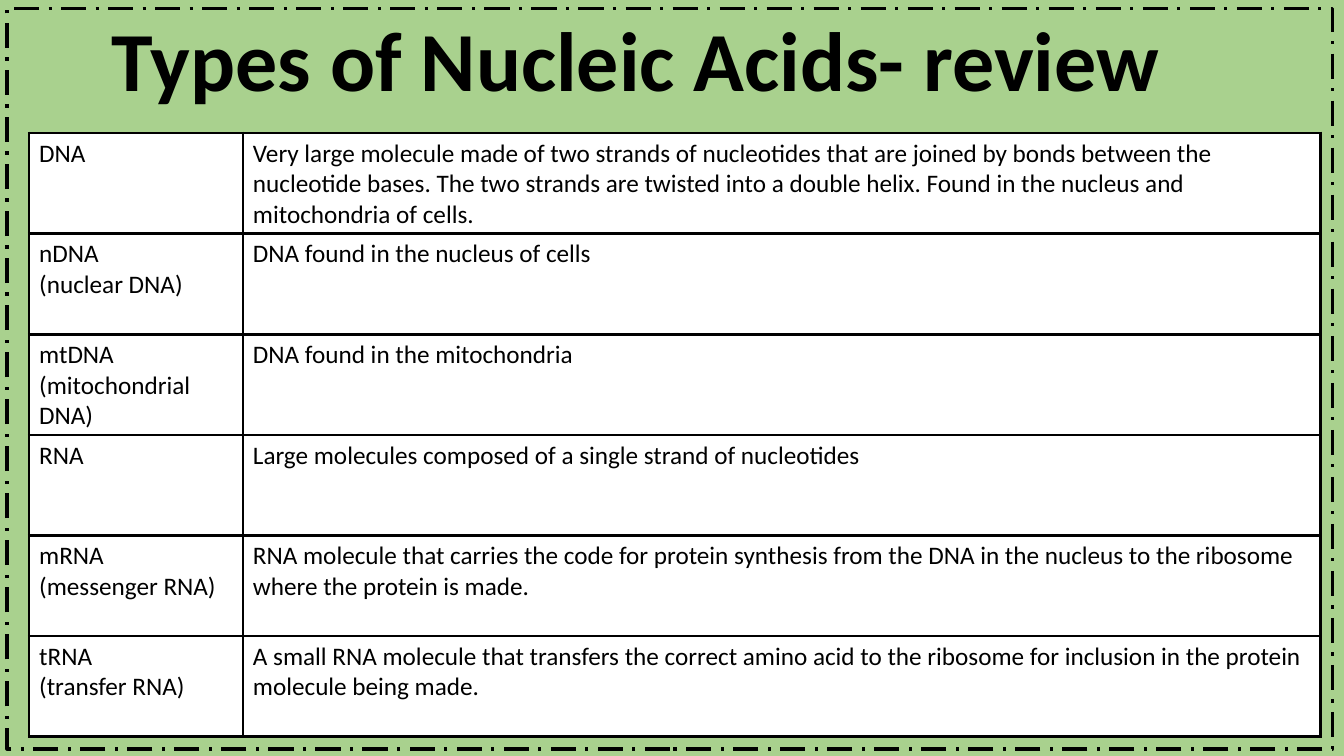
"""Build a one-slide review table of the types of nucleic acids."""
from dataclasses import dataclass

from lxml.etree import SubElement
from pptx import Presentation
from pptx.dml.color import RGBColor as Color
from pptx.enum.dml import MSO_LINE_DASH_STYLE as Dash
from pptx.enum.shapes import MSO_SHAPE as Preset
from pptx.enum.text import MSO_ANCHOR as Anchor
from pptx.oxml.ns import qn
from pptx.slide import Slide
from pptx.table import _Cell as Cell
from pptx.text.text import TextFrame
from pptx.util import Pt


@dataclass(frozen=True)
class Theme:
    """Colours, font and sizes of the slide."""
    page: str = "A9D18E"
    ink: str = "000000"
    paper: str = "FFFFFF"
    font: str = "Calibri"
    title_size: float = 60
    body_size: float = 18
    line_width: float = 2.25


@dataclass(frozen=True)
class Area:
    """Left, top, width and height in points."""
    left: float
    top: float
    width: float
    height: float

    def lengths(self) -> tuple[Pt, Pt, Pt, Pt]:
        """Return the four values as lengths."""
        return Pt(self.left), Pt(self.top), Pt(self.width), Pt(self.height)


@dataclass(frozen=True)
class Acid:
    """One table row: the name of an acid and its meaning."""
    name: str
    meaning: str


THEME = Theme()
TITLE_AREA = Area(72.8, 5.8, 828, 80.6)
TABLE_AREA = Area(20.8, 95, 922.3, 430.6)
FRAME_AREA = Area(5, 5.8, 946.8, 529.2)
NAME_WIDTH = 152.7
ACIDS = (
    Acid("DNA", "Very large molecule made of two strands of nucleotides that are joined by bonds "
         "between the nucleotide bases. The two strands are twisted into a double helix. "
         "Found in the nucleus and mitochondria of cells."),
    Acid("nDNA\n(nuclear DNA)", "DNA found in the nucleus of cells"),
    Acid("mtDNA\n(mitochondrial DNA)", "DNA found in the mitochondria"),
    Acid("RNA", "Large molecules composed of a single strand of nucleotides"),
    Acid("mRNA\n(messenger RNA)", "RNA molecule that carries the code for protein synthesis "
         "from the DNA in the nucleus to the ribosome where the protein is made."),
    Acid("tRNA\n(transfer RNA)", "A small RNA molecule that transfers the correct amino acid "
         "to the ribosome for inclusion in the protein molecule being made."),
)


def write(frame: TextFrame, text: str, *, size: float, bold: bool = False,
          spacing: float = 1.0) -> None:
    """Write each line of the text as a formatted paragraph."""
    frame.text = text
    for para in frame.paragraphs:
        para.line_spacing = spacing
        for span in para.runs:
            span.font.name = THEME.font
            span.font.size = Pt(size)
            span.font.bold = bold
            span.font.color.rgb = Color.from_string(THEME.ink)


def add_borders(cell: Cell) -> None:
    """Put a solid line on all four sides, ahead of the cell fill."""
    properties = cell._tc.get_or_add_tcPr()
    for position, side in enumerate(("a:lnL", "a:lnR", "a:lnT", "a:lnB")):
        line = SubElement(properties, qn(side), w=str(Pt(THEME.line_width)))
        fill = SubElement(line, qn("a:solidFill"))
        SubElement(fill, qn("a:srgbClr"), val=THEME.ink)
        properties.insert(position, line)


def add_title(page: Slide, text: str) -> None:
    """Add the slide heading."""
    box = page.shapes.add_textbox(*TITLE_AREA.lengths())
    box.text_frame.word_wrap = True
    box.text_frame.vertical_anchor = Anchor.MIDDLE
    write(box.text_frame, text, size=THEME.title_size, bold=True, spacing=0.9)


def add_acid_table(page: Slide) -> None:
    """Add the table of acids and their meanings."""
    table = page.shapes.add_table(len(ACIDS), 2, *TABLE_AREA.lengths()).table
    table.first_row = table.horz_banding = False
    table.columns[0].width = Pt(NAME_WIDTH)
    table.columns[1].width = Pt(TABLE_AREA.width - NAME_WIDTH)
    for row, acid in zip(table.rows, ACIDS):
        for cell, text in zip(row.cells, (acid.name, acid.meaning)):
            cell.fill.solid()
            cell.fill.fore_color.rgb = Color.from_string(THEME.paper)
            add_borders(cell)
            write(cell.text_frame, text, size=THEME.body_size)


def add_frame(page: Slide) -> None:
    """Add the dashed outline around the slide."""
    outline = page.shapes.add_shape(Preset.RECTANGLE, *FRAME_AREA.lengths())
    outline.shadow.inherit = False
    outline.fill.background()
    outline.line.color.rgb = Color.from_string(THEME.ink)
    outline.line.width = Pt(THEME.line_width)
    outline.line.dash_style = Dash.LONG_DASH_DOT


def main() -> None:
    """Build and save the deck."""
    deck = Presentation()
    deck.slide_width, deck.slide_height = Pt(960), Pt(540)
    page = deck.slides.add_slide(deck.slide_layouts[6])
    page.background.fill.solid()
    page.background.fill.fore_color.rgb = Color.from_string(THEME.page)
    add_title(page, "Types of Nucleic Acids- review")
    add_acid_table(page)
    add_frame(page)
    deck.save("out.pptx")


if __name__ == "__main__":
    main()
